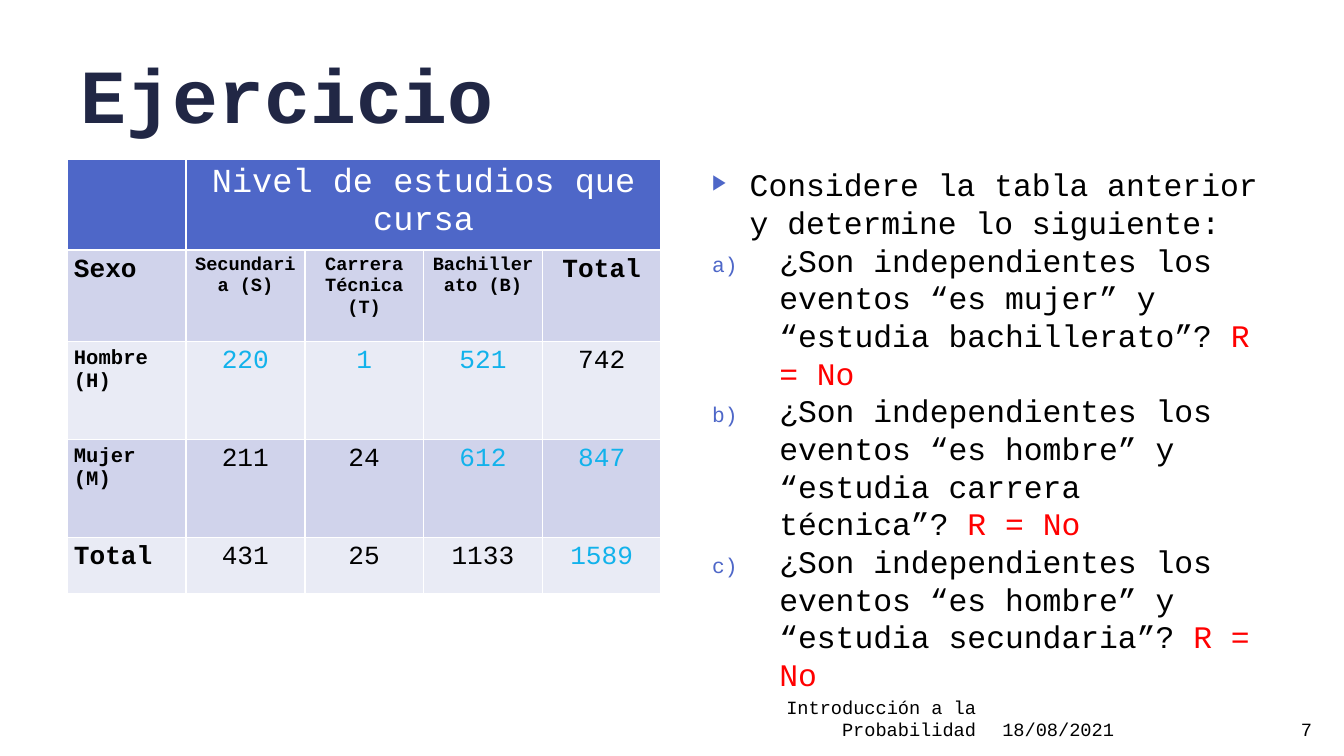
import pptx
import pptx.util
import pptx.dml.color
import pptx.enum.text
import pptx.oxml
import pptx.oxml.ns
from lxml import etree

ALIGN = pptx.enum.text.PP_ALIGN
ANCHOR = pptx.enum.text.MSO_ANCHOR
FONT = "Courier New"
BLACK, WHITE, NAVY, BLUE = "000000", "FFFFFF", "212745", "4E67C8"
CYAN, RED, BANDS = "12B2EB", "FF0000", ("D0D3EB", "E9EBF5")


def color(value):
    return pptx.dml.color.RGBColor.from_string(value)


def add_element(parent, tag, **attributes):
    element = etree.SubElement(parent, pptx.oxml.ns.qn(tag))
    for key, value in attributes.items():
        element.set(key, str(value))
    return element


def write(paragraph, text, size, ink=BLACK, bold=False, align=ALIGN.LEFT):
    paragraph.alignment = align
    run = paragraph.add_run()
    run.text = text
    run.font.name = FONT
    run.font.size = pptx.util.Pt(size)
    run.font.bold = bold
    run.font.color.rgb = color(ink)


class ExerciseSlide:
    def __init__(self, deck):
        self.width, self.height = deck.slide_width, deck.slide_height
        self.slide = deck.slides.add_slide(deck.slide_layouts[5])

    def area(self, left, top, width, height):
        return (int(self.width * left / 100), int(self.height * top / 100),
                int(self.width * width / 100), int(self.height * height / 100))

    def title(self, text, *shares):
        heading = self.slide.shapes.title
        heading.left, heading.top, heading.width, heading.height = self.area(*shares)
        heading.text_frame.vertical_anchor = ANCHOR.MIDDLE
        write(heading.text_frame.paragraphs[0], text, 41, NAVY, True)

    def text_box(self, *shares, anchor=ANCHOR.TOP):
        frame = self.slide.shapes.add_textbox(*self.area(*shares)).text_frame
        frame.word_wrap = True
        frame.vertical_anchor = anchor
        return frame

    def footer(self, text, left, width, align=ALIGN.LEFT):
        frame = self.text_box(left, 93.5, width, 5.33, anchor=ANCHOR.BOTTOM)
        write(frame.paragraphs[0], text, 10, align=align)

    def bullet(self, paragraph, margin, hanging, tag, **marker):
        properties = paragraph._p.get_or_add_pPr()
        properties.set("marL", str(pptx.util.Inches(margin)))
        properties.set("indent", str(-pptx.util.Inches(hanging)))
        add_element(add_element(properties, "a:buClr"), "a:srgbClr", val=BLUE)
        add_element(properties, "a:buSzPct", val=68000)
        add_element(properties, "a:buFont", typeface=FONT)
        add_element(properties, tag, **marker)

    def exercise(self, prompt, questions, answer, *shares):
        frame = self.text_box(*shares)
        instruction = frame.paragraphs[0]
        self.bullet(instruction, 0.4, 0.28, "a:buChar", char="▶")
        write(instruction, prompt, 16.8)
        for question in questions:
            paragraph = frame.add_paragraph()
            self.bullet(paragraph, 0.62, 0.5, "a:buAutoNum", type="alphaLcParenR")
            write(paragraph, question, 16.8)
            write(paragraph, answer, 16.8, RED)

    def style_cell(self, cell, fill):
        properties = cell._tc.get_or_add_tcPr()
        for side in "LRTB":
            line = add_element(properties, "a:ln" + side, w=pptx.util.Pt(1))
            add_element(add_element(line, "a:solidFill"), "a:srgbClr", val=WHITE)
        cell.fill.solid()
        cell.fill.fore_color.rgb = color(fill)
        cell.margin_left = cell.margin_right = pptx.util.Inches(0.05)
        cell.margin_top = cell.margin_bottom = pptx.util.Inches(0.04)

    def study_table(self, heading, records, row_heights, highlighted, *shares):
        table = self.slide.shapes.add_table(len(records) + 1, len(records[0]), *self.area(*shares)).table
        for row, height in zip(table.rows, row_heights):
            row.height = pptx.util.Inches(height)
        for column in range(len(table.columns)):
            self.style_cell(table.cell(0, column), BLUE)
        levels = table.cell(0, 1)
        levels.merge(table.cell(0, len(table.columns) - 1))
        write(levels.text_frame.paragraphs[0], heading, 18, WHITE, align=ALIGN.CENTER)
        for row, record in enumerate(records, 1):
            for column, text in enumerate(record):
                cell = table.cell(row, column)
                self.style_cell(cell, BANDS[(row - 1) % 2])
                size = 14
                if "(" in text:
                    size = 11 if column == 0 else 10
                write(cell.text_frame.paragraphs[0], text, size,
                      CYAN if text in highlighted else BLACK,
                      row == 1 or column == 0,
                      ALIGN.CENTER if column else ALIGN.LEFT)


deck = pptx.Presentation()
deck.slide_width = pptx.util.Inches(10)
deck.slide_height = deck.slide_width * 9 // 16
exercise = ExerciseSlide(deck)

exercise.title("Ejercicio", 5, 3.9, 90, 16.7)
exercise.study_table(
    "Nivel de estudios que cursa",
    [
        ("Sexo", "Secundaria (S)", "Carrera Técnica (T)", "Bachillerato (B)", "Total"),
        ("Hombre (H)", "220", "1", "521", "742"),
        ("Mujer (M)", "211", "24", "612", "847"),
        ("Total ", "431", "25", "1133", "1589"),
    ],
    (0.68, 0.68, 0.73, 0.73, 0.42),
    {"220", "1", "521", "612", "847", "1589"},
    5, 21, 44.2, 57.5,
)
exercise.exercise(
    "Considere la tabla anterior y determine lo siguiente:",
    [f"¿Son independientes los eventos “es {sex}” y “estudia {level}”?"
     for sex, level in (("mujer", "bachillerato"), ("hombre", "carrera técnica"),
                        ("hombre", "secundaria"))],
    " R = No",
    50.8, 21, 44.2, 57.5,
)
exercise.footer("18/08/2021", 73.6, 21)
exercise.footer("Introducción a la Probabilidad", 47.9, 25.7, ALIGN.RIGHT)
exercise.footer("7", 94.6, 4, ALIGN.RIGHT)

deck.save("out.pptx")
